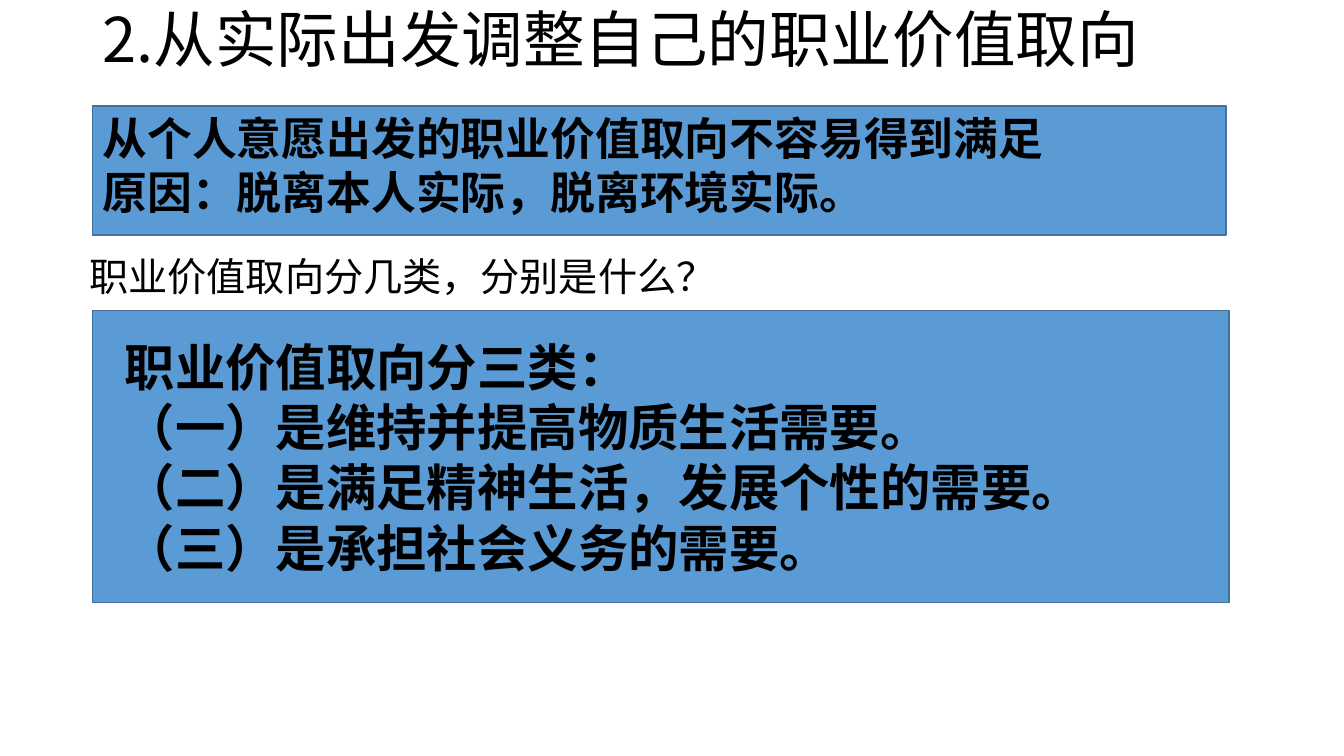
import pptx
import pptx.dml.color
import pptx.enum.lang
import pptx.enum.shapes
import pptx.enum.text
import pptx.oxml
import pptx.oxml.ns
import pptx.util

Pt = pptx.util.Pt
ANCHOR = pptx.enum.text.MSO_ANCHOR


def color(value):
    return pptx.dml.color.RGBColor.from_string(value)


class SlideBuilder:
    text_color = "000000"
    panel_fill = "5B9BD5"
    panel_line = "41719C"
    body_font = "Calibri"
    title_font = "Noto Sans CJK SC"

    def __init__(self, slide):
        self.slide = slide

    def panel(self, left, top, width, height):
        shape = self.slide.shapes.add_shape(
            pptx.enum.shapes.MSO_SHAPE.RECTANGLE,
            Pt(left), Pt(top), Pt(width), Pt(height))
        shape.shadow.inherit = False
        shape.fill.solid()
        shape.fill.fore_color.rgb = color(self.panel_fill)
        shape.line.color.rgb = color(self.panel_line)
        shape.line.width = Pt(1)

    def text(self, left, top, width, height, lines, size, font=body_font,
             bold=False, line_spacing=1.0, anchor=ANCHOR.TOP):
        box = self.slide.shapes.add_textbox(Pt(left), Pt(top), Pt(width), Pt(height))
        frame = box.text_frame
        frame.word_wrap = True
        frame.vertical_anchor = anchor
        for index, line in enumerate(lines):
            paragraph = frame.paragraphs[0] if index == 0 else frame.add_paragraph()
            paragraph.line_spacing = line_spacing
            self.run(paragraph, line, size, font, bold)

    def run(self, paragraph, content, size, font, bold):
        run = paragraph.add_run()
        run.text = content
        run.font.size = Pt(size)
        run.font.bold = bold
        run.font.name = font
        run.font.color.rgb = color(self.text_color)
        run.font.language_id = pptx.enum.lang.MSO_LANGUAGE_ID.SIMPLIFIED_CHINESE
        # East Asian typeface follows the Latin one
        latin = run.font._element.find(pptx.oxml.ns.qn("a:latin"))
        east_asian = pptx.oxml.parse_xml(
            f'<a:ea {pptx.oxml.ns.nsdecls("a")} typeface="{font}"/>')
        latin.addnext(east_asian)


def main():
    presentation = pptx.Presentation()
    presentation.slide_width = Pt(960.5)
    presentation.slide_height = Pt(540)
    builder = SlideBuilder(presentation.slides.add_slide(presentation.slide_layouts[6]))

    # Title
    builder.text(66.2, 0, 828, 60.5, ["2.从实际出发调整自己的职业价值取向"], 44,
                 font=builder.title_font, line_spacing=0.9, anchor=ANCHOR.MIDDLE)

    # Question
    builder.text(56.9, 180.7, 828, 40, ["职业价值取向分几类，分别是什么？"], 28,
                 line_spacing=0.9)

    # Reason panel
    builder.panel(66.2, 75.6, 810, 92.2)
    builder.text(66.2, 75.6, 777, 84.2, [
        "从个人意愿出发的职业价值取向不容易得到满足",
        "原因：脱离本人实际，脱离环境实际。",
    ], 32, bold=True)

    # Answer panel
    builder.panel(66.2, 221.8, 812.2, 208.8)
    builder.text(82.1, 236.2, 787, 180, [
        "职业价值取向分三类：",
        "（一）是维持并提高物质生活需要。",
        "（二）是满足精神生活，发展个性的需要。",
        "（三）是承担社会义务的需要。",
    ], 36, bold=True)

    presentation.save("out.pptx")


if __name__ == "__main__":
    main()
